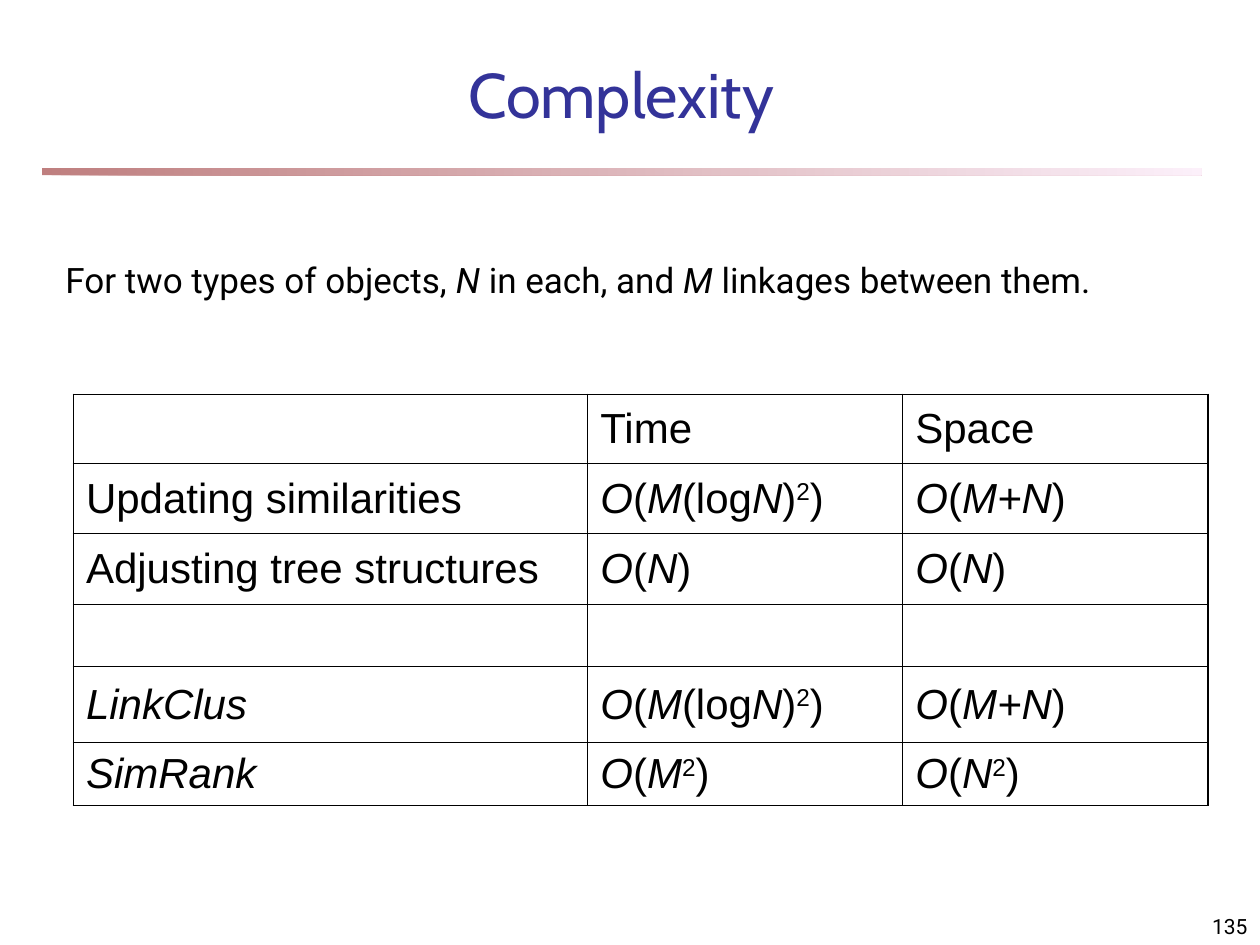
from lxml import etree
from pptx import Presentation
from pptx.dml.color import RGBColor
from pptx.enum.shapes import MSO_SHAPE
from pptx.enum.text import MSO_ANCHOR, PP_ALIGN
from pptx.oxml.ns import qn
from pptx.util import Cm, Pt

LEFT, CENTER, RIGHT = PP_ALIGN.LEFT, PP_ALIGN.CENTER, PP_ALIGN.RIGHT
TOP, MIDDLE, BOTTOM = MSO_ANCHOR.TOP, MSO_ANCHOR.MIDDLE, MSO_ANCHOR.BOTTOM
RECTANGLE = MSO_SHAPE.RECTANGLE
TITLE_ONLY = 5

# In all texts *...* is italic and ^...^ is superscript.
TITLE = "Complexity"
INTRO = "For two types of objects, *N* in each, and *M* linkages between them."
PAGE = "135"
COMPLEXITIES = [
    ("", "Time", "Space"),
    ("Updating similarities", "*O*(*M*(log*N*)^2^)", "*O*(*M+N*)"),
    ("Adjusting tree structures", "*O*(*N*)", "*O*(*N*)"),
    ("", "", ""),
    ("*LinkClus*", "*O*(*M*(log*N*)^2^)", "*O*(*M+N*)"),
    ("*SimRank*", "*O*(*M*^2^)", "*O*(*N*^2^)"),
]
COLUMN_WIDTHS = [10.37, 6.35, 6.15]
ROW_HEIGHTS = [1.4, 1.41, 1.43, 1.25, 1.53, 1.27]
OUTER, INNER = 1.08, 0.45

TITLE_FORMAT = {"name": "Cabin", "size": Pt(36)}
INTRO_FORMAT = {"name": "Roboto", "size": Pt(20)}
PAGE_FORMAT = {"name": "Roboto", "size": Pt(12)}
CELL_FORMAT = {"name": "Arial", "size": Pt(24)}


def rgb(value):
    return RGBColor.from_string(value)


def write(frame, text, font_format, color="000000", align=LEFT, anchor=TOP):
    """Fill a text frame with one paragraph, reading the italic and superscript marks."""
    frame.word_wrap = True
    frame.vertical_anchor = anchor
    paragraph = frame.paragraphs[0]
    paragraph.alignment = align
    for i, phrase in enumerate(text.split("*")):
        for j, piece in enumerate(phrase.split("^")):
            if not piece:
                continue
            run = paragraph.add_run()
            run.text = piece
            for attribute, value in font_format.items():
                setattr(run.font, attribute, value)
            run.font.color.rgb = rgb(color)
            run.font.italic = i % 2 == 1
            if j % 2:
                run.font._element.set("baseline", "30000")


def add_border(cell, side, width):
    line = etree.SubElement(cell._tc.get_or_add_tcPr(), qn(f"a:ln{side}"), w=str(Pt(width)))
    fill = etree.SubElement(line, qn("a:solidFill"))
    etree.SubElement(fill, qn("a:srgbClr"), val="000000")


def add_rule(slide):
    rule = slide.shapes.add_shape(RECTANGLE, Cm(0.85), Cm(3.39), Cm(23.37), Cm(0.14))
    rule.shadow.inherit = False
    rule.line.fill.background()
    rule.fill.gradient()
    rule.fill.gradient_angle = 0
    for stop, color in zip(rule.fill.gradient_stops, ("800000", "FAE2F6")):
        stop.color.rgb = rgb(color)
    for color in rule._element.spPr.iter(qn("a:srgbClr")):
        etree.SubElement(color, qn("a:alpha"), val="50000")


def add_complexity_table(slide):
    row_count, column_count = len(ROW_HEIGHTS), len(COLUMN_WIDTHS)
    table = slide.shapes.add_table(
        row_count, column_count, Cm(1.48), Cm(7.95),
        Cm(sum(COLUMN_WIDTHS)), Cm(sum(ROW_HEIGHTS))).table
    table.first_row = table.horz_banding = False
    for column, width in zip(table.columns, COLUMN_WIDTHS):
        column.width = Cm(width)
    for r, (height, texts) in enumerate(zip(ROW_HEIGHTS, COMPLEXITIES)):
        table.rows[r].height = Cm(height)
        for c, text in enumerate(texts):
            cell = table.cell(r, c)
            edges = {"L": c == 0, "R": c == column_count - 1,
                     "T": r == 0, "B": r == row_count - 1}
            for side, is_outer in edges.items():
                add_border(cell, side, OUTER if is_outer else INNER)
            cell.fill.background()
            cell.vertical_anchor = MIDDLE
            write(cell.text_frame, text, CELL_FORMAT, anchor=MIDDLE)


def main():
    deck = Presentation()
    deck.slide_width, deck.slide_height = Cm(25.4), Cm(19.05)
    slide = deck.slides.add_slide(deck.slide_layouts[TITLE_ONLY])

    add_rule(slide)
    title = slide.shapes.title
    title.left, title.top, title.width, title.height = Cm(1.7), Cm(1.07), Cm(21.64), Cm(1.7)
    write(title.text_frame, TITLE, TITLE_FORMAT, "333399", CENTER, BOTTOM)

    add_complexity_table(slide)
    intro = slide.shapes.add_textbox(Cm(1.07), Cm(5.08), Cm(23.29), Cm(1.12))
    write(intro.text_frame, INTRO, INTRO_FORMAT)
    page = slide.shapes.add_textbox(Cm(20.12), Cm(17.98), Cm(5.28), Cm(1.07))
    write(page.text_frame, PAGE, PAGE_FORMAT, align=RIGHT, anchor=BOTTOM)

    deck.save("out.pptx")


if __name__ == "__main__":
    main()
